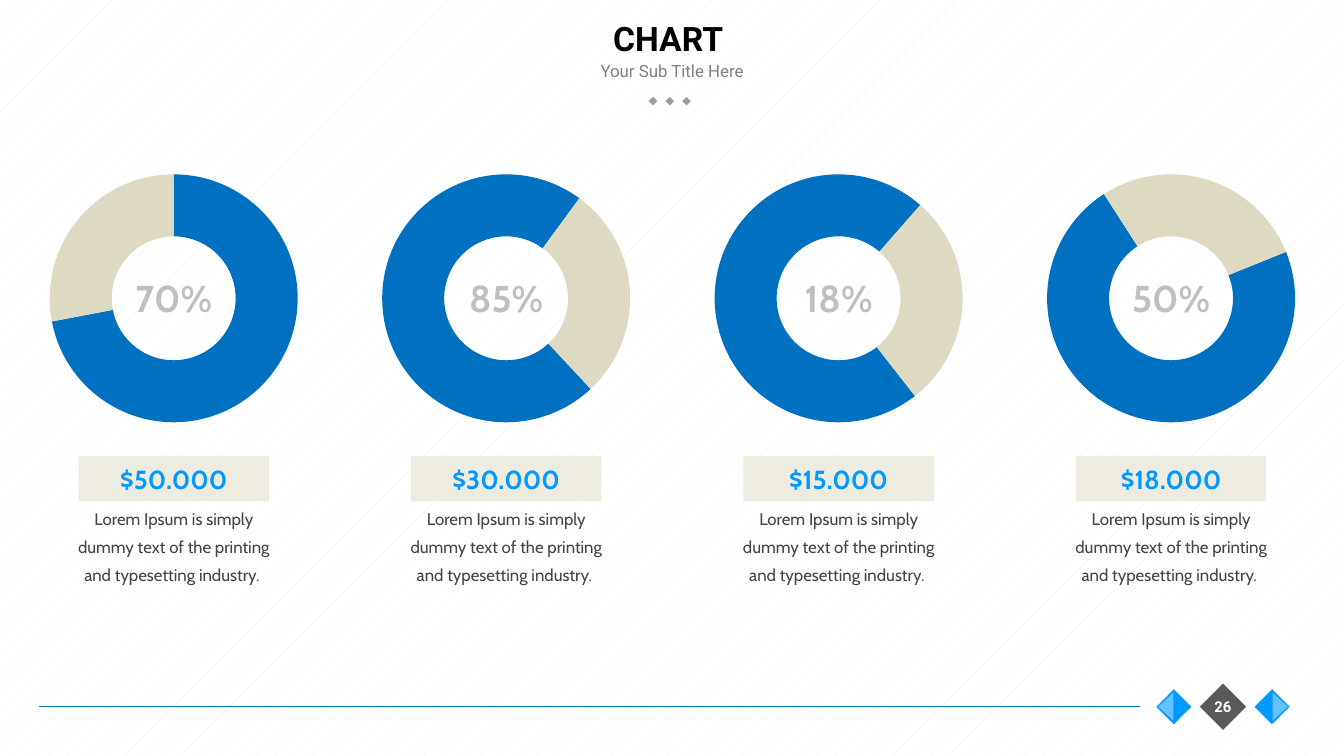
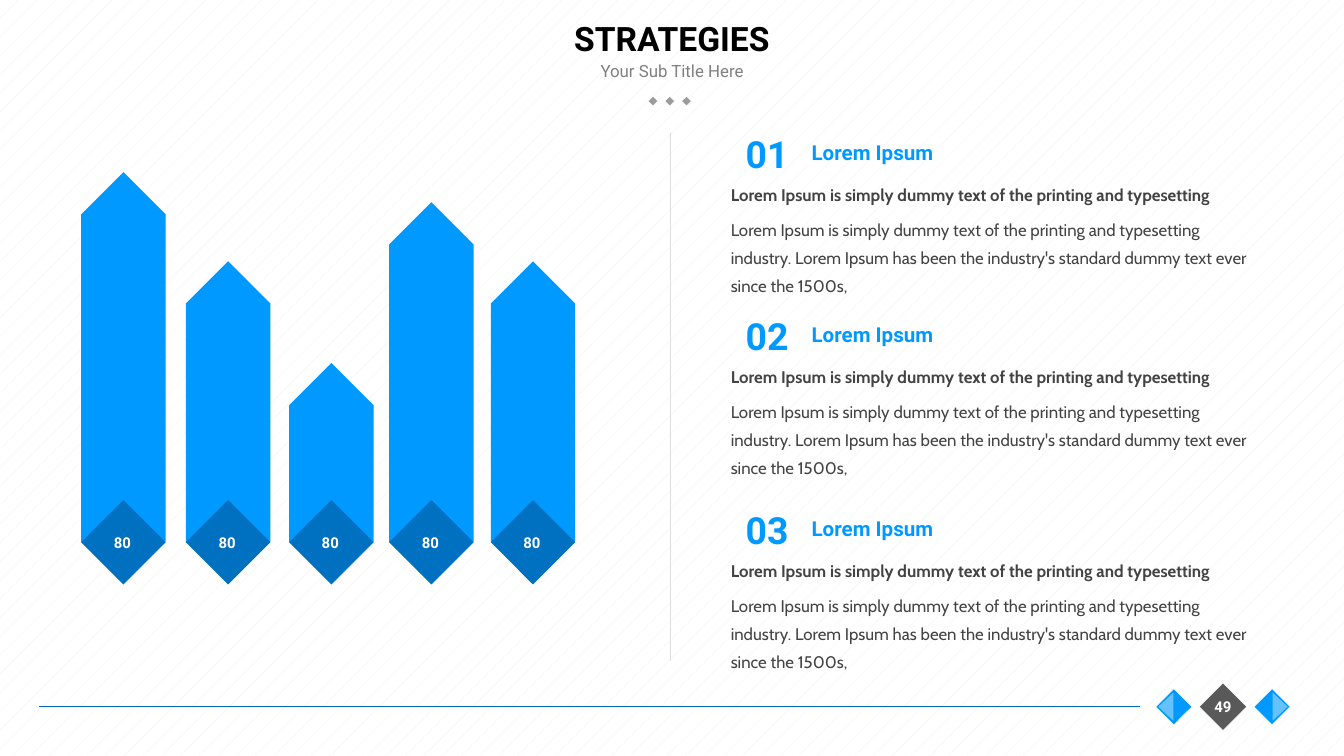
from lxml.etree import SubElement
from pptx import Presentation
from pptx.chart.data import CategoryChartData
from pptx.dml.color import RGBColor
from pptx.enum.chart import XL_CHART_TYPE as CHART
from pptx.enum.dml import MSO_PATTERN as PATTERN
from pptx.enum.shapes import MSO_CONNECTOR as CONN, MSO_SHAPE as SHAPE
from pptx.enum.text import MSO_ANCHOR as ANCHOR, PP_ALIGN as ALIGN
from pptx.oxml.ns import qn
from pptx.util import Pt

# Shared style
BLUE, DEEP, SKY, NAVY = "0099FF", "0070C0", "66C2FF", "006EBC"
SAND, CREAM = "DDD9C3", "EEECE1"
BLACK, INK, SLATE, GRAY = "000000", "434343", "595959", "808080"
DOT, SILVER, RULE, MIST, WHITE = "9B9B9B", "BFBFBF", "DEDEDE", "F2F2F2", "FFFFFF"
HEAD, BODY = "Roboto", "Cabin"


def rgb(hex_color):
    return RGBColor.from_string(hex_color)


def write(tf, text, size=9, font=BODY, color=INK, bold=False,
          align=ALIGN.LEFT, anchor=ANCHOR.TOP, leading=None):
    tf.word_wrap = True
    tf.vertical_anchor = anchor
    p = tf.paragraphs[0]
    p.alignment = align
    if leading:
        p.line_spacing = Pt(leading)
    r = p.add_run()
    r.text = text
    r.font.size, r.font.name, r.font.bold = Pt(size), font, bold
    r.font.color.rgb = rgb(color)


class Deck:
    def __init__(self):
        self.prs = Presentation()
        self.prs.slide_width, self.prs.slide_height = Pt(720), Pt(405)
        self.s = None

    def slide(self, title, number):
        self.s = self.prs.slides.add_slide(self.prs.slide_layouts[6])
        fill = self.s.background.fill
        fill.patterned()
        fill.pattern = PATTERN.PERCENT_5
        fill.fore_color.rgb, fill.back_color.rgb = rgb(MIST), rgb(WHITE)
        centred = dict(font=HEAD, align=ALIGN.CENTER, anchor=ANCHOR.MIDDLE)

        # Title, subtitle and three dots
        for i in range(3):
            self.tilted(349.8 + 9 * i, 54.2, 3.7, DOT)
        self.text("Your Sub Title Here", 270, 28.8, 180, 18, color=GRAY, **centred)
        self.text(title, 54, 0, 612, 40.5, size=18, color=BLACK, bold=True, **centred)

        # Footer line, page number and side diamonds
        mid_x, mid_y = 655.2, 378.6
        self.line(21, mid_y, 610.5, mid_y, NAVY, 0.75)
        self.tilted(mid_x, mid_y, 18, SLATE)
        for side in (-1, 1):
            self.tilted(mid_x + side * 26.3, mid_y, 13.7, BLUE)
            self.shape(SHAPE.FLOWCHART_EXTRACT, mid_x + side * 30.6 - 7.5, mid_y - 4,
                       15, 8, SKY, rotation=90 * side % 360)
        self.text(str(number), mid_x - 15, mid_y - 9, 30, 18,
                  size=8, color=WHITE, bold=True, **centred)

    def shape(self, kind, x, y, w, h, fill, edge=None, rotation=0):
        sp = self.s.shapes.add_shape(kind, Pt(x), Pt(y), Pt(w), Pt(h))
        sp.shadow.inherit = False
        sp.rotation = rotation
        sp.fill.solid()
        sp.fill.fore_color.rgb = rgb(fill)
        if edge:
            sp.line.color.rgb = rgb(edge)
            sp.line.width = Pt(0.25)
        else:
            sp.line.fill.background()
        return sp

    def tilted(self, cx, cy, size, fill):
        self.shape(SHAPE.RECTANGLE, cx - size / 2, cy - size / 2, size, size,
                   fill, WHITE, rotation=315)

    def text(self, text, x, y, w, h, **fmt):
        sp = self.s.shapes.add_textbox(Pt(x), Pt(y), Pt(w), Pt(h))
        write(sp.text_frame, text, **fmt)

    def line(self, x1, y1, x2, y2, color, width):
        sp = self.s.shapes.add_connector(CONN.STRAIGHT, Pt(x1), Pt(y1), Pt(x2), Pt(y2))
        sp.line.color.rgb = rgb(color)
        sp.line.width = Pt(width)
        SubElement(sp._element.spPr, qn("a:effectLst"))

    def doughnut(self, x, y, w, h, values, colors, start):
        data = CategoryChartData()
        data.categories = [str(i + 1) for i in range(len(values))]
        data.add_series("Series 1", values)
        chart = self.s.shapes.add_chart(CHART.DOUGHNUT, Pt(x), Pt(y), Pt(w), Pt(h), data).chart
        chart.has_legend = chart.has_title = False
        chart.font.size, chart.font.name = Pt(18), BODY
        chart.font.color.rgb = rgb(BLACK)
        plot = chart.plots[0]
        plot.vary_by_categories = True
        for i, color in enumerate(colors):
            fmt = plot.series[0].points[i].format
            fmt.fill.solid()
            fmt.fill.fore_color.rgb = rgb(color)
            fmt.line.fill.background()

        # Ring start, hole and place of the plot
        ring = plot._element
        for tag, value in (("c:firstSliceAng", start), ("c:holeSize", 80)):
            node = ring.find(qn(tag))
            if node is None:
                node = SubElement(ring, qn(tag))
            node.set("val", str(value))
        area = ring.getparent()
        layout = area.find(qn("c:layout"))
        if layout is None:
            layout = SubElement(area, qn("c:layout"))
            area.insert(0, layout)
        manual = SubElement(layout, qn("c:manualLayout"))
        size = 132.9
        for tag, value in (("layoutTarget", "inner"), ("xMode", "edge"), ("yMode", "edge"),
                           ("x", (1 - size / w) / 2), ("y", (1 - size / h) / 2),
                           ("w", size / w), ("h", size / h)):
            SubElement(manual, qn("c:" + tag)).set("val", str(value))


def chart_slide(deck):
    deck.slide("CHART ", 26)
    blurb = "Lorem Ipsum is simply dummy text of the printing and typesetting industry. "
    columns = [("70%", 0, "$50.000"), ("85%", 137, "$30.000"),
               ("18%", 142, "$15.000"), ("50%", 68, "$18.000")]
    for i, (percent, start, amount) in enumerate(columns):
        cx = 93.1 + 178.1 * i
        deck.doughnut(cx - 85.3, 83.6, 170.6, 152.6, (72, 28), (DEEP, SAND), start)
        deck.text(percent, cx - 40, 144, 80, 31.7, size=20, color=SILVER,
                  bold=True, align=ALIGN.CENTER)
        sp = deck.shape(SHAPE.RECTANGLE, cx - 51, 244.3, 102, 24.2, CREAM)
        write(sp.text_frame, amount, size=14, color=BLUE, bold=True,
              align=ALIGN.CENTER, anchor=ANCHOR.MIDDLE)
        deck.text(blurb, cx - 59.5, 265, 119, 52.6, align=ALIGN.CENTER, leading=15)


def strategies_slide(deck):
    deck.slide("STRATEGIES", 49)

    # Pointed bars standing on value diamonds
    size, base = 45.2, 290.5
    half = size / 2
    bars = [(43.5, 92.2), (99.6, 140), (154.9, 194.5), (208.5, 108.3), (262.9, 140)]
    for x, top in bars:
        deck.shape(SHAPE.RECTANGLE, x, top + half, size, base - top - half, BLUE)
        deck.shape(SHAPE.DIAMOND, x, top, size, size, BLUE)
        deck.shape(SHAPE.DIAMOND, x, base - half, size, size, DEEP)
        deck.text("80", x + 10.4, 282.2, 24.5, 17, size=8, font=HEAD, color=WHITE, bold=True)

    # Numbered points
    lead = "Lorem Ipsum is simply dummy text of the printing and typesetting"
    body = lead + (" industry. Lorem Ipsum has been the industry's standard"
                   " dummy text ever since the 1500s,")
    accent = dict(font=HEAD, color=BLUE, bold=True)
    for i, y in enumerate((66.8, 164.3, 268), 1):
        deck.text(body, 384.4, y + 43.2, 298, 52.6, leading=15)
        deck.text("Lorem Ipsum", 427.7, y + 4.7, 92, 21, size=11, **accent)
        deck.text(lead, 384.4, y + 24.5, 298, 21, bold=True, leading=15)
        deck.text(f"{i:02}", 392.4, y, 47.5, 31.7, size=20, **accent)
    deck.line(359.2, 71.5, 359.2, 354, RULE, 0.25)


def main():
    deck = Deck()
    chart_slide(deck)
    strategies_slide(deck)
    deck.prs.save("out.pptx")


if __name__ == "__main__":
    main()
